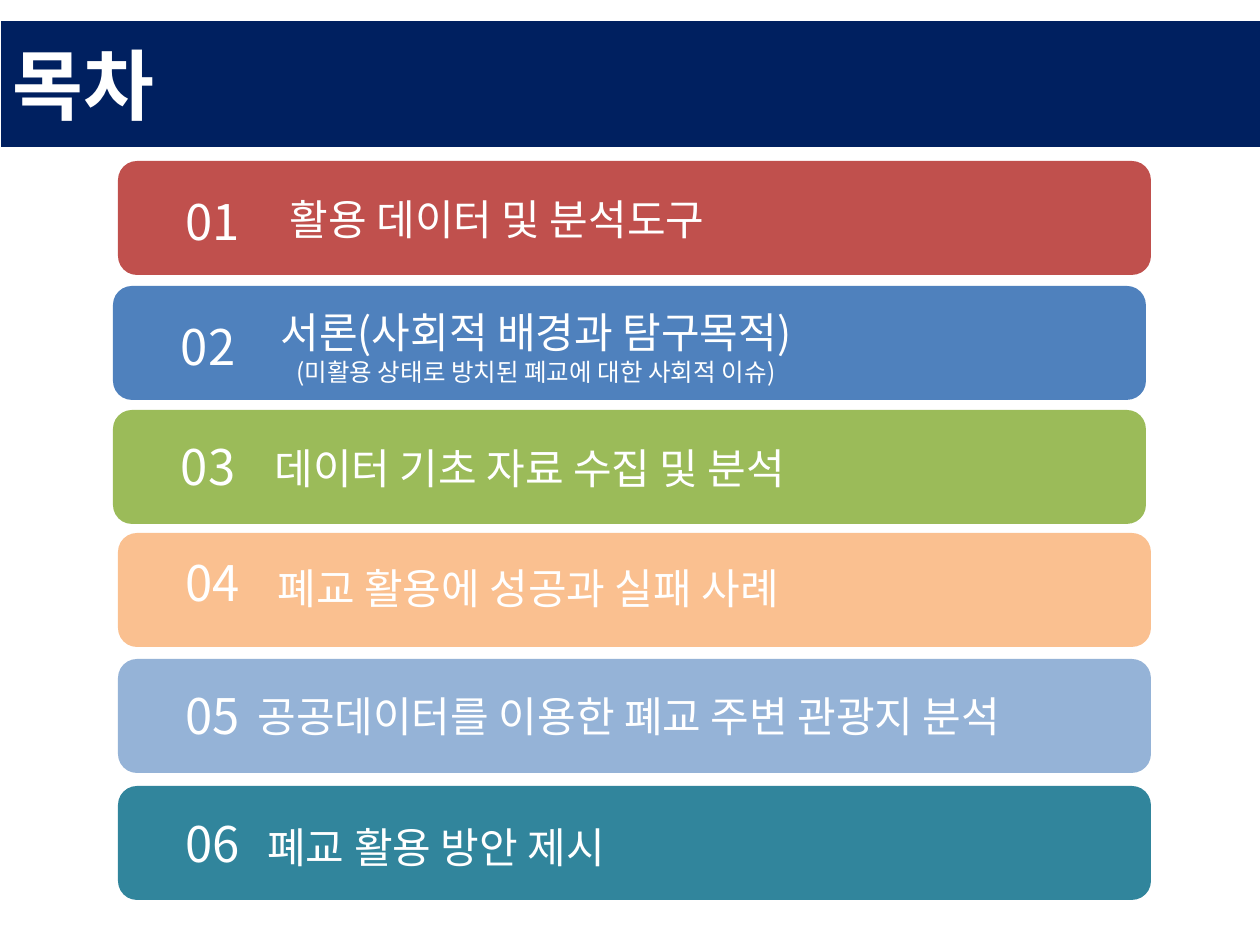
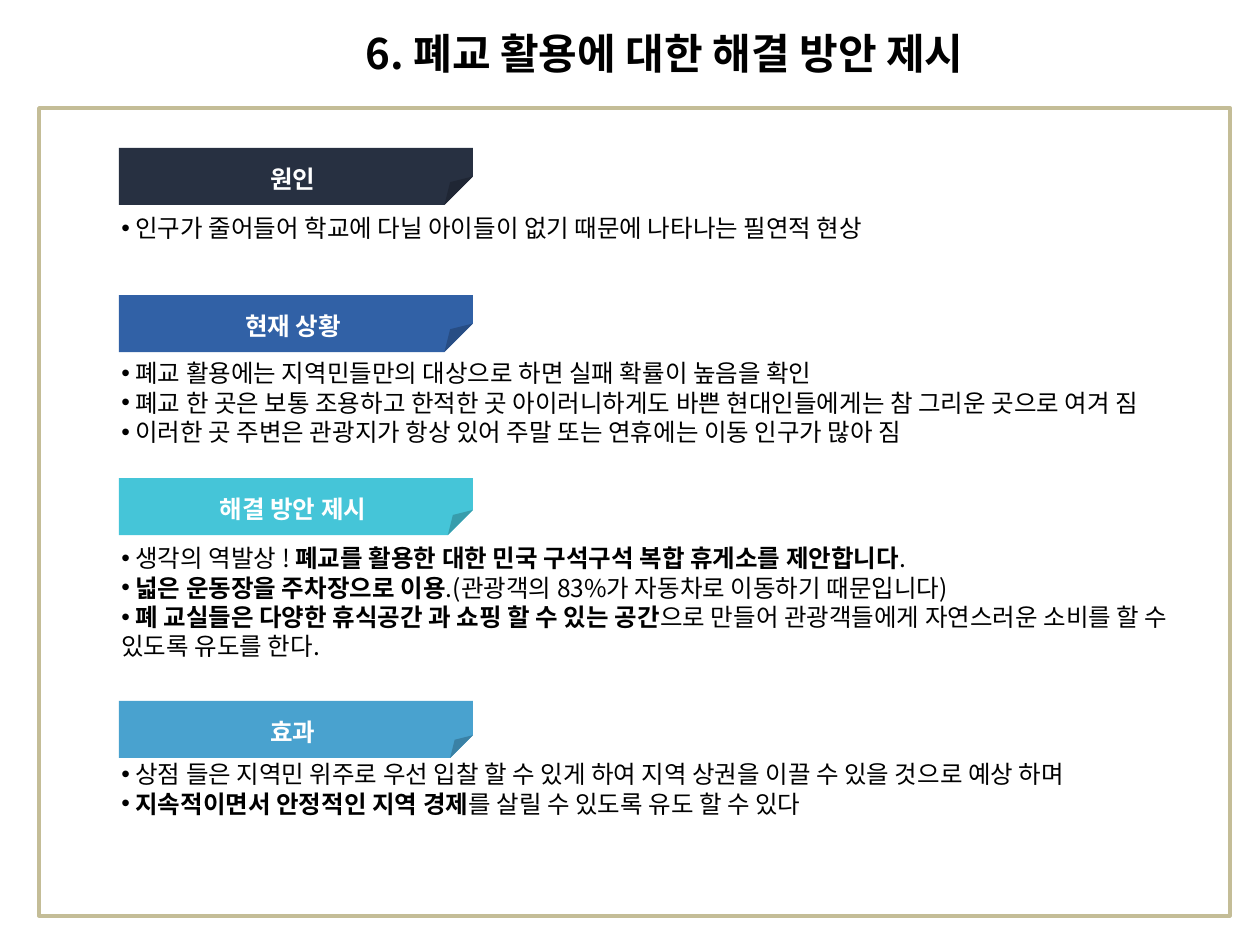
import pptx
import pptx.dml.color
import pptx.enum.shapes
import pptx.enum.text
import pptx.oxml.ns
import pptx.util
from lxml import etree

PX = 914400 / 126
KIND = pptx.enum.shapes.MSO_SHAPE
ALIGN = pptx.enum.text.PP_ALIGN
MIDDLE = pptx.enum.text.MSO_ANCHOR.MIDDLE
KOREAN = "Noto Sans CJK KR"
HEX = {
    "white": "FFFFFF", "black": "000000", "navy": "002060", "tan": "C4BD97",
    "red": "C0504D", "blue": "4F81BD", "green": "9BBB59", "peach": "FAC090",
    "pale": "95B3D7", "teal": "31859C",
    "ink": "273041", "royal": "3161A6", "aqua": "45C5D8", "sky": "49A2CF",
}

# colour, left, top, number drop, label box in the bar, alignment, label, small line
TOPICS = [
    ("red", 118, 161, 24, (28, 26, 702, 63), ALIGN.CENTER, "활용 데이터 및 분석도구", ""),
    ("blue", 113, 286, 24, (15, 14, 816, 93), ALIGN.CENTER,
     "서론(사회적 배경과 탐구목적)", "(미활용 상태로 방치된 폐교에 대한 사회적 이슈)"),
    ("green", 113, 410, 20, (149, 26, 722, 63), ALIGN.LEFT, "데이터 기초 자료 수집 및 분석", ""),
    ("peach", 118, 533, 13, (147, 23, 722, 63), ALIGN.LEFT, "폐교 활용에 성공과 실패 사례", ""),
    ("pale", 118, 659, 20, (127, 25, 911, 63), ALIGN.LEFT,
     "공공데이터를 이용한 폐교 주변 관광지 분석", ""),
    ("teal", 118, 786, 21, (137, 29, 838, 63), ALIGN.LEFT, "폐교 활용 방안 제시", ""),
]

# colour, fold, top, heading, body box (drop, width, height), points; *bold*
PARTS = [
    ("ink", 0.5, 148, "원인", (59, 1004, 43),
     ["인구가 줄어들어 학교에 다닐 아이들이 없기 때문에 나타나는 필연적 현상"]),
    ("royal", 0.5, 295, "현재 상황", (57, 1092, 102),
     ["폐교 활용에는 지역민들만의 대상으로 하면 실패 확률이 높음을 확인",
      "폐교 한 곳은 보통 조용하고 한적한 곳 아이러니하게도 바쁜 현대인들에게는 참 그리운 곳으로 여겨 짐",
      "이러한 곳 주변은 관광지가 항상 있어 주말 또는 연휴에는 이동 인구가 많아 짐"]),
    ("aqua", 0.44, 478, "해결 방안 제시", (59, 1131, 152),
     ["생각의 역발상 ! *폐교를 활용한 대한 민국 구석구석 복합 휴게소를 제안합니다*.",
      "*넓은 운동장을 주차장으로 이용*.(관광객의 83%가 자동차로 이동하기 때문입니다)",
      "*폐 교실들은 다양한 휴식공간 과 쇼핑 할 수 있는 공간*으로 만들어 "
      "관광객들에게 자연스러운 소비를 할 수 있도록 유도를 한다."]),
    ("sky", 0.4, 701, "효과", (52, 1043, 93),
     ["상점 들은 지역민 위주로 우선 입찰 할 수 있게 하여 지역 상권을 이끌 수 있을 것으로 예상 하며",
      "*지속적이면서 안정적인 지역 경제*를 살릴 수 있도록 유도 할 수 있다"]),
]


def rgb(name):
    return pptx.dml.color.RGBColor.from_string(HEX[name])


def emu(box):
    return [pptx.util.Emu(round(n * PX)) for n in box]


def node(parent, tag, **attrs):
    return etree.SubElement(parent, pptx.oxml.ns.qn(tag), attrs)


def block(slide, kind, box, fill=None, line=None, width=1):
    shape = slide.shapes.add_shape(kind, *emu(box))
    shape.shadow.inherit = False
    if fill:
        shape.fill.solid()
        shape.fill.fore_color.rgb = rgb(fill)
    else:
        shape.fill.background()
    if line:
        shape.line.color.rgb = rgb(line)
        shape.line.width = pptx.util.Pt(width)
    else:
        shape.line.fill.background()
    return shape


def run(para, text, size, color="white", bold=False, name=KOREAN):
    piece = para.add_run()
    piece.text = text
    style = {"size": pptx.util.Pt(size), "bold": bold, "name": name}
    for key, value in style.items():
        setattr(piece.font, key, value)
    piece.font.color.rgb = rgb(color)
    node(piece._r.get_or_add_rPr(), "a:ea", typeface=KOREAN)


def words(slide, box, text, size, align=ALIGN.LEFT, **style):
    """Add a wrapped text box with one line of text and return its frame."""
    frame = slide.shapes.add_textbox(*emu(box)).text_frame
    frame.word_wrap = True
    para = frame.paragraphs[0]
    para.alignment = align
    if text:
        run(para, text, size, **style)
    return frame


def dot(para):
    props = para._p.get_or_add_pPr()
    node(props, "a:buFont", typeface="Arial")
    node(props, "a:buChar", char="•")


def points(slide, box, lines):
    frame = words(slide, box, "", 14)
    for i, line in enumerate(lines):
        para = frame.add_paragraph() if i else frame.paragraphs[0]
        dot(para)
        for j, text in enumerate((" " + line).split("*")):
            if text:
                run(para, text, 14, "black", bold=j % 2 == 1)


def banner(slide, box, text):
    shape = block(slide, KIND.RECTANGLE, box, "navy", "white", 0.75)
    frame = shape.text_frame
    frame.vertical_anchor = MIDDLE
    frame.paragraphs[0].alignment = ALIGN.LEFT
    run(frame.paragraphs[0], text, 44, bold=True)


def bar(slide, box, number, fill, drop, place, align, label, small):
    left, top = box[:2]
    block(slide, KIND.ROUNDED_RECTANGLE, box, fill)
    dx, dy, wide, high = place
    frame = words(slide, (left + dx, top + dy, wide, high), label, 24, align)
    if small:
        para = frame.paragraphs[0]
        para.add_line_break()
        run(para, small, 14)
    words(slide, (left + 10, top + drop, 170, 72), f"{number:02}", 28, ALIGN.CENTER)


def crease(shape, fold):
    """Set the size of the folded corner, which has no adjustment in python-pptx."""
    guides = shape._element.spPr.find(".//" + pptx.oxml.ns.qn("a:avLst"))
    node(guides, "a:gd", name="adj", fmla=f"val {round(fold * 100000)}")


def part(slide, box, fill, fold, head, body, lines):
    left, top = box[:2]
    crease(block(slide, KIND.FOLDED_CORNER, box, fill), fold)
    drop, wide, high = body
    points(slide, (left - 10, top + drop, wide, high), lines)
    words(slide, (left + 21, top + 10, 306, 43), head, 14, ALIGN.CENTER,
          bold=True, name="Arial")


def agenda(slide):
    banner(slide, (0, 20, 1264, 128), "목차")
    for number, (fill, left, top, *rest) in enumerate(TOPICS, 1):
        bar(slide, (left, top, 1033, 114), number, fill, *rest)


def answer(slide):
    frame = words(slide, (69, -49, 1191, 203), "6. 폐교 활용에 대한 해결 방안 제시", 24,
                  ALIGN.CENTER, color="black", bold=True)
    frame.vertical_anchor = MIDDLE
    for fill, fold, top, *rest in PARTS:
        part(slide, (119, top, 354, 57), fill, fold, *rest)
    block(slide, KIND.RECTANGLE, (39, 108, 1191, 808), line="tan", width=2)


def main():
    deck = pptx.Presentation()
    deck.slide_width, deck.slide_height = emu((1260, 945))
    for draw in (agenda, answer):
        draw(deck.slides.add_slide(deck.slide_layouts[6]))
    deck.save("out.pptx")


if __name__ == "__main__":
    main()
